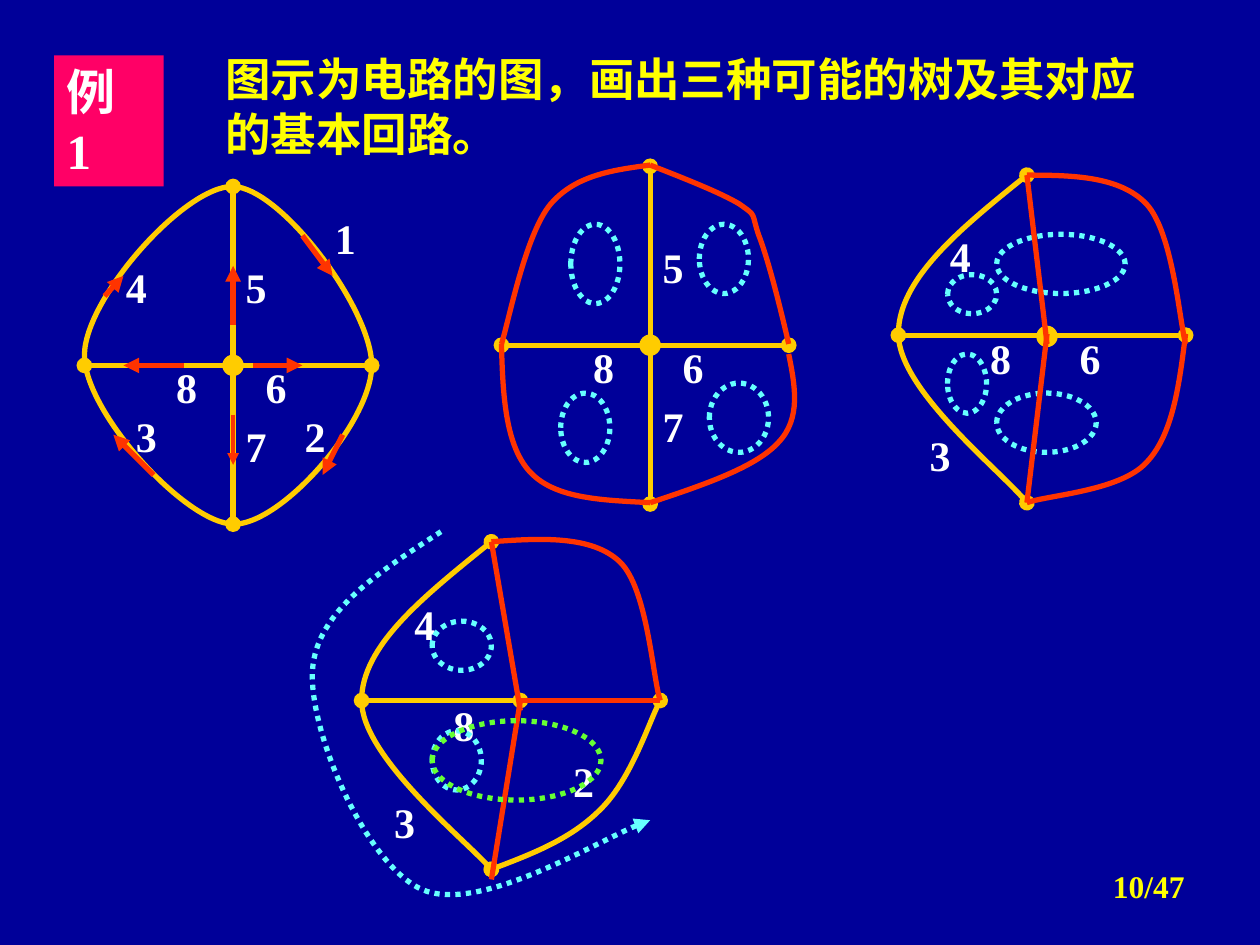
from dataclasses import dataclass

from lxml.etree import SubElement
from pptx import Presentation
from pptx.dml.color import RGBColor
from pptx.enum.dml import MSO_LINE
from pptx.enum.shapes import MSO_CONNECTOR, MSO_SHAPE
from pptx.enum.text import MSO_ANCHOR, PP_ALIGN
from pptx.oxml.ns import qn
from pptx.util import Inches, Pt


@dataclass(frozen=True)
class Theme:
    font: str = "Times New Roman"
    background: RGBColor = RGBColor(0x00, 0x00, 0x99)
    badge: RGBColor = RGBColor(0xFF, 0x00, 0x66)
    white: RGBColor = RGBColor(0xFF, 0xFF, 0xFF)
    yellow: RGBColor = RGBColor(0xFF, 0xFF, 0x00)
    graph: RGBColor = RGBColor(0xFF, 0xCC, 0x00)
    branch: RGBColor = RGBColor(0xFF, 0x33, 0x00)
    loop: RGBColor = RGBColor(0x66, 0xFF, 0xFF)
    outer_loop: RGBColor = RGBColor(0x66, 0xFF, 0x33)
    badge_size: int = 28
    title_size: int = 26
    label_size: int = 24
    page_size: int = 18
    wire: float = 3


theme = Theme()
deck = Presentation()
deck.slide_width, deck.slide_height = Inches(10), Inches(7.5)
slide = deck.slides.add_slide(deck.slide_layouts[6])
slide.background.fill.solid()
slide.background.fill.fore_color.rgb = theme.background
shapes = slide.shapes


def write(shape, text, size, color):
    frame = shape.text_frame
    frame.word_wrap = True
    frame.vertical_anchor = MSO_ANCHOR.TOP
    paragraph = frame.paragraphs[0]
    paragraph.text = text
    paragraph.alignment = PP_ALIGN.LEFT
    font = paragraph.font
    font.name, font.size, font.bold = theme.font, Pt(size), True
    font.color.rgb = color
    return paragraph


def draw_wire(points, color, head=None, tail=None, width=theme.wire, closed=False):
    points = [(Inches(x), Inches(y)) for x, y in points]
    if len(points) == 2:
        wire = shapes.add_connector(MSO_CONNECTOR.STRAIGHT, *points[0], *points[1])
    else:
        builder = shapes.build_freeform(*points[0])
        builder.add_line_segments(points[3::3], close=closed)
        wire = builder.convert_to_shape()
        wire.fill.background()
        wire.shadow.inherit = False
        segments = list(wire._element.iter(qn("a:lnTo")))
        for index, segment in enumerate(segments):
            segment.clear()
            segment.tag = qn("a:cubicBezTo")
            for x, y in points[3 * index + 1:3 * index + 4]:
                SubElement(segment, qn("a:pt"), x=str(x - wire.left), y=str(y - wire.top))
    wire.line.color.rgb = color
    wire.line.width = Pt(width)
    if len(points) == 2:
        SubElement(wire._element.spPr, qn("a:effectLst"))
    if color == theme.loop:
        wire.line.dash_style = MSO_LINE.ROUND_DOT
    outline = wire.line._get_or_add_ln()
    for end, kind in (("a:headEnd", head), ("a:tailEnd", tail)):
        if kind:
            SubElement(outline, qn(end), type=kind)


badge = shapes.add_shape(MSO_SHAPE.RECTANGLE, Inches(0.43), Inches(0.44), Inches(0.87), Inches(1.04))
badge.shadow.inherit = False
badge.fill.solid()
badge.fill.fore_color.rgb = theme.badge
badge.line.fill.background()
write(badge, "例1", theme.badge_size, theme.white)
badge.text_frame.margin_right = Inches(0.3)

title = shapes.add_textbox(Inches(1.69), Inches(0.36), Inches(7.72), Inches(0.97))
write(title, "图示为电路的图，画出三种可能的树及其对应的基本回路。", theme.title_size, theme.yellow)

page = shapes.add_textbox(Inches(7.17), Inches(6.83), Inches(2.33), Inches(0.52))
write(page, "10/47", theme.page_size, theme.yellow).alignment = PP_ALIGN.RIGHT

graph_wires = [
    [(0.67, 2.9), (2.95, 2.9)],
    [(1.85, 1.48), (1.85, 4.16)],
    [(3.98, 2.74), (6.26, 2.74)],
    [(5.16, 1.32), (5.16, 4)],
    [(7.13, 2.66), (9.41, 2.66)],
    [(8.15, 1.39), (7.64, 1.8), (7.13, 2.22), (7.13, 2.65), (7.13, 3.08), (7.97, 3.76), (8.15, 3.99)],
    [(3.9, 4.3), (3.38, 4.72), (2.87, 5.13), (2.87, 5.56), (2.87, 5.99), (3.71, 6.68), (3.9, 6.9)],
    [(2.87, 5.56), (4.13, 5.56)],
    [(3.9, 6.9), (4.22, 6.78), (4.54, 6.65), (4.76, 6.43), (4.99, 6.21), (5.16, 5.71), (5.24, 5.56)],
]
for points in graph_wires:
    draw_wire(points, theme.graph, "oval", "oval")

rim = [
    (1.85, 1.48), (2.23, 1.49), (2.95, 2.45), (2.95, 2.9), (2.95, 3.35), (2.23, 4.17), (1.85, 4.16),
    (1.47, 4.15), (0.67, 3.27), (0.67, 2.82), (0.67, 2.37), (1.47, 1.47), (1.85, 1.48),
]
draw_wire(rim, theme.graph, closed=True)

labels = [
    ("4", 0.9, 2.03), ("3", 0.98, 3.21), ("2", 2.32, 3.21), ("1", 2.56, 1.64),
    ("4", 7.44, 1.78), ("3", 7.28, 3.36),
    ("8", 3.5, 5.5), ("2", 4.45, 5.95), ("4", 3.19, 4.7), ("3", 3.03, 6.27),
]
spoke_offsets = {"5": (0, -0.87), "6": (0.16, -0.08), "7": (0, 0.39), "8": (-0.55, -0.08)}
for center_x, center_y, spokes in [(1.85, 2.9, "5678"), (5.16, 2.74, "5678"), (8.31, 2.67, "68")]:
    hub = shapes.add_shape(
        MSO_SHAPE.OVAL, Inches(center_x - 0.08), Inches(center_y - 0.08), Inches(0.16), Inches(0.16))
    hub.shadow.inherit = False
    hub.fill.solid()
    hub.fill.fore_color.rgb = hub.line.color.rgb = theme.graph
    hub.line.width = Pt(0.75)
    for spoke in spokes:
        offset_x, offset_y = spoke_offsets[spoke]
        labels.append((spoke, center_x + offset_x, center_y + offset_y))

direction_arrows = [
    [(0.83, 2.35), (0.98, 2.19)],
    [(1.46, 2.9), (0.98, 2.9)],
    [(2.01, 2.9), (2.4, 2.9)],
    [(1.85, 2.58), (1.85, 2.11)],
    [(1.22, 3.77), (0.9, 3.45)],
    [(2.72, 3.45), (2.56, 3.77)],
    [(2.4, 1.87), (2.64, 2.19)],
]
for points in direction_arrows:
    draw_wire(points, theme.branch, tail="triangle")
draw_wire([(1.85, 3.29), (1.85, 3.69)], theme.branch, tail="triangle", width=2.25)

for number, left, top in labels:
    label = shapes.add_textbox(Inches(left), Inches(top), Inches(0.39), Inches(0.5))
    write(label, number, theme.label_size, theme.white)

tree_branches = [
    [(5.16, 1.31), (4.86, 1.35), (4.57, 1.39), (4.37, 1.62), (4.17, 1.86), (4.04, 2.54), (3.98, 2.73)],
    [(5.16, 1.31), (5.44, 1.42), (5.72, 1.53), (5.87, 1.62), (6.01, 1.72), (5.96, 1.68), (6.02, 1.86),
     (6.09, 2.04), (6.18, 2.38), (6.26, 2.73)],
    [(3.98, 2.73), (3.99, 3.13), (4.01, 3.54), (4.21, 3.75), (4.41, 3.96), (4.78, 3.97), (5.16, 3.99)],
    [(6.26, 2.81), (6.31, 3.06), (6.36, 3.32), (6.18, 3.51), (6, 3.71), (5.58, 3.85), (5.16, 3.99)],
    [(8.15, 1.39), (8.52, 1.39), (8.89, 1.4), (9.1, 1.62), (9.31, 1.85), (9.36, 2.54), (9.41, 2.73)],
    [(9.41, 2.65), (9.36, 3.05), (9.31, 3.45), (9.1, 3.67), (8.89, 3.9), (8.31, 3.93), (8.15, 3.99)],
    [(8.15, 1.39), (8.31, 2.73)],
    [(8.31, 2.65), (8.15, 3.99)],
    [(3.9, 4.3), (4.13, 5.64)],
    [(4.13, 5.56), (3.9, 6.98)],
    [(4.13, 5.56), (5.24, 5.56)],
    [(3.9, 4.3), (4.3, 4.27), (4.7, 4.25), (4.92, 4.46), (5.14, 4.67), (5.18, 5.38), (5.24, 5.56)],
]
basic_loops = [
    (4.53, 1.78, 0.39, 0.63), (5.55, 1.78, 0.39, 0.55), (4.45, 3.12, 0.39, 0.55), (5.63, 3.04, 0.47, 0.55),
    (7.91, 1.86, 1.02, 0.47), (7.91, 3.12, 0.79, 0.47), (7.52, 2.18, 0.39, 0.31), (7.52, 2.81, 0.31, 0.47),
    (3.43, 4.93, 0.47, 0.39), (3.43, 5.8, 0.39, 0.47), (3.43, 5.72, 1.34, 0.63),
]
for index, box in enumerate(basic_loops):
    is_outer = index == len(basic_loops) - 1
    if is_outer:
        for points in tree_branches:
            draw_wire(points, theme.branch)
    loop = shapes.add_shape(MSO_SHAPE.OVAL, *map(Inches, box))
    loop.shadow.inherit = False
    loop.fill.background()
    loop.line.color.rgb = theme.outer_loop if is_outer else theme.loop
    loop.line.width = Pt(theme.wire)
    loop.line.dash_style = MSO_LINE.ROUND_DOT

outer_path = [
    (3.5, 4.22), (3.01, 4.54), (2.51, 4.85), (2.48, 5.32), (2.45, 5.8), (2.9, 6.86), (3.35, 7.06),
    (3.79, 7.25), (4.87, 6.6), (5.16, 6.51),
]
draw_wire(outer_path, theme.loop, tail="triangle")

deck.save("out.pptx")
